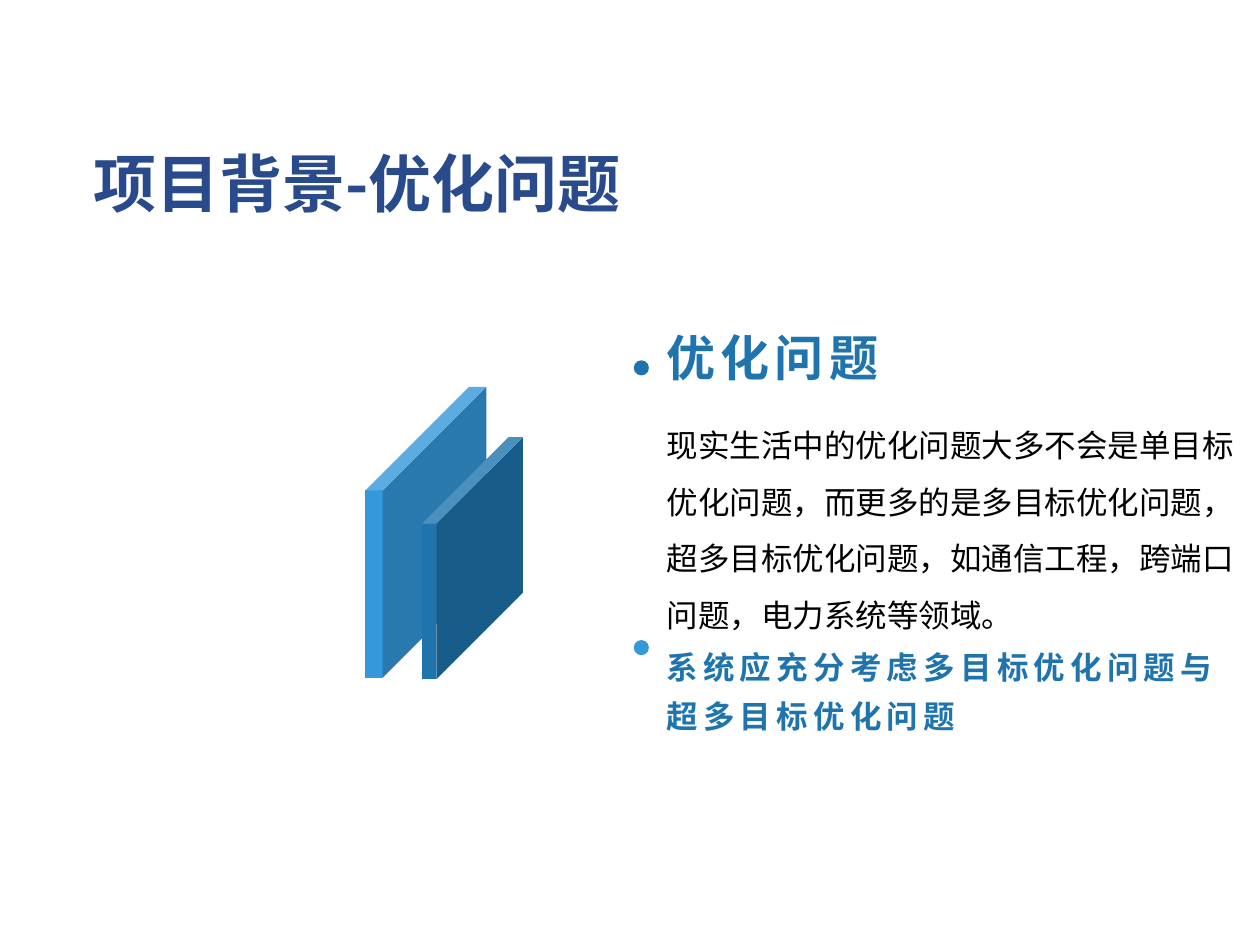
"""Build the slide on the optimisation problem background."""
import pptx
import pptx.dml.color
import pptx.enum.shapes
import pptx.enum.text
import pptx.oxml.ns
import pptx.util

Inches = pptx.util.Inches
Anchor = pptx.enum.text.MSO_ANCHOR
Preset = pptx.enum.shapes.MSO_SHAPE
COLORS = {"title": "294B8C", "deep": "1F74AD", "bright": "3498DB", "body": "000000"}
SANS = "Noto Sans CJK SC"
HEADING = {"font": "Arial", "color": "deep", "bold": True, "tracking": 3,
           "line": 1.3, "anchor": Anchor.BOTTOM, "insets": (0.07, 0.04, 0.07, 0)}


def add_solid(page, preset, place, color):
    shape = page.shapes.add_shape(preset, *map(Inches, place))
    shape.shadow.inherit = False
    shape.fill.solid()
    shape.fill.fore_color.rgb = pptx.dml.color.RGBColor.from_string(COLORS[color])
    shape.line.fill.background()
    return shape


def add_dot(page, top, color):
    add_solid(page, Preset.OVAL, (5.03, top, 0.12, 0.12), color)


def add_slab(page, place, color):
    slab = add_solid(page, Preset.CUBE, place, color)
    slab.adjustments[0] = 0.857


def add_text(page, place, text, size, font, color, bold=False, tracking=0,
             line=None, anchor=Anchor.TOP, insets=(0.1, 0.05, 0.1, 0.05)):
    box = page.shapes.add_textbox(*map(Inches, place))
    frame = box.text_frame
    frame.word_wrap = True
    frame.vertical_anchor = anchor
    (frame.margin_left, frame.margin_top,
     frame.margin_right, frame.margin_bottom) = map(Inches, insets)
    para = frame.paragraphs[0]
    para.line_spacing = line
    span = para.add_run()
    span.text = text
    span.font.size = pptx.util.Pt(size)
    span.font.name = font
    span.font.bold = bold
    span.font.color.rgb = pptx.dml.color.RGBColor.from_string(COLORS[color])
    properties = span.font._element
    if tracking:
        properties.set("spc", str(tracking * 100))
    latin = properties.find(pptx.oxml.ns.qn("a:latin"))
    east_asian = properties.makeelement(pptx.oxml.ns.qn("a:ea"), {"typeface": SANS})
    latin.addnext(east_asian)
    return box


def main():
    deck = pptx.Presentation()
    deck.slide_width, deck.slide_height = Inches(10), Inches(7.5)
    page = deck.slides.add_slide(deck.slide_layouts[6])

    add_dot(page, 2.86, "deep")
    add_text(page, (5.22, 2.77, 4.04, 0.3), "优化问题", 28, **HEADING)
    add_text(page, (5.22, 3.23, 4.67, 1.86),
             "现实生活中的优化问题大多不会是单目标优化问题，而更多的是多目标优化问题，"
             "超多目标优化问题，如通信工程，跨端口问题，电力系统等领域。",
             18, SANS, "body", line=1.5, insets=(0.07, 0, 0.07, 0.04))
    add_dot(page, 5.08, "bright")
    add_text(page, (5.22, 5.08, 4.67, 0.75),
             "系统应充分考虑多目标优化问题与超多目标优化问题", 18, **HEADING)

    add_slab(page, (2.9, 3.07, 0.96, 2.31), "bright")
    add_slab(page, (3.35, 3.47, 0.8, 1.92), "deep")

    title = add_text(page, (0.64, 1.1, 5.35, 1.25), "项目背景-优化问题",
                     36, SANS, "title", bold=True)
    title.text_frame.auto_size = pptx.enum.text.MSO_AUTO_SIZE.SHAPE_TO_FIT_TEXT

    deck.save("out.pptx")


if __name__ == "__main__":
    main()
